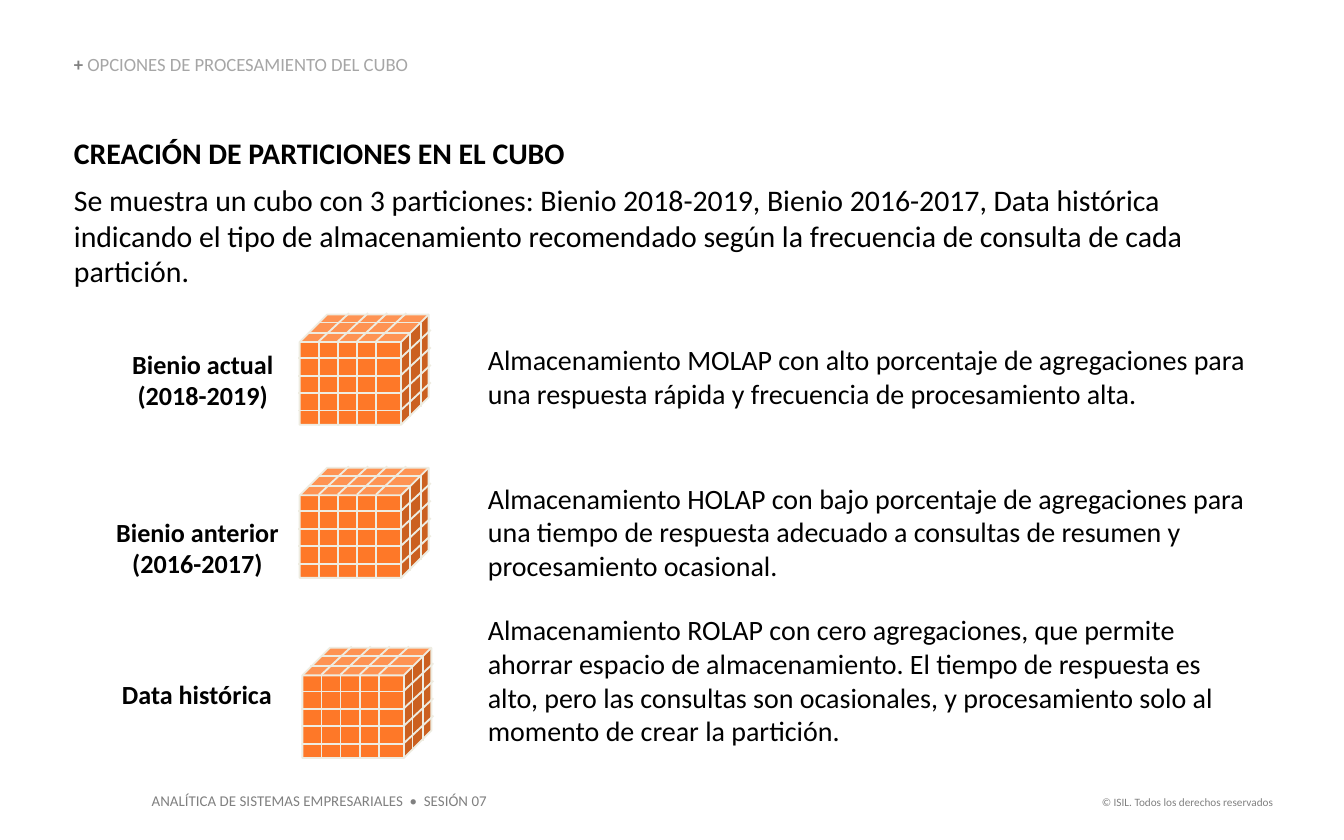
from dataclasses import dataclass

from pptx import Presentation
from pptx.dml.color import RGBColor
from pptx.enum.shapes import MSO_CONNECTOR as CONN, MSO_SHAPE as SHAPE
from pptx.enum.text import MSO_ANCHOR as ANCHOR, MSO_AUTO_SIZE as AUTO, PP_ALIGN as ALIGN
from pptx.oxml.ns import qn
from pptx.util import Inches, Pt

WIDTH, HEIGHT = Inches(10), Inches(6.25)
COLS, ROWS = 100, 62.5


@dataclass(frozen=True)
class Theme:
    """Colours, font and type sizes of the slide."""
    font: str = "Calibri"
    ink: str = "000000"
    gray: str = "808080"
    light: str = "A6A6A6"
    orange: str = "FE7828"
    grid: str = "EEECE1"
    intro: int = 16
    text: int = 15
    label: int = 14
    header: int = 10
    footer: int = 8
    rights: int = 6


T = Theme()

INTRO = ("CREACIÓN DE PARTICIONES EN EL CUBO",
         "Se muestra un cubo con 3 particiones: Bienio 2018-2019, Bienio 2016-2017, "
         "Data histórica indicando el tipo de almacenamiento recomendado según la "
         "frecuencia de consulta de cada partición.")

PARTITIONS = [
    ("Bienio actual\n(2018-2019)", (8.8, 25.4, 12.6, 5.7), (22.3, 23.4), (25.5, 5),
     "Almacenamiento MOLAP con alto porcentaje de agregaciones para una respuesta "
     "rápida y frecuencia de procesamiento alta."),
    ("Bienio anterior\n(2016-2017)", (7.6, 37.9, 14.2, 5.7), (22.3, 34.8), (35.8, 7.6),
     "Almacenamiento HOLAP con bajo porcentaje de agregaciones para una tiempo de "
     "respuesta adecuado a consultas de resumen y procesamiento ocasional."),
    ("Data histórica", (8, 50, 13.3, 3.4), (22.5, 48.2), (45.6, 10.1),
     "Almacenamiento ROLAP con cero agregaciones, que permite ahorrar espacio de "
     "almacenamiento. El tiempo de respuesta es alto, pero las consultas son "
     "ocasionales, y procesamiento solo al momento de crear la partición."),
]


def col(n):
    """Return the length of n grid columns."""
    return round(WIDTH * n / COLS)


def row(n):
    """Return the length of n grid rows."""
    return round(HEIGHT * n / ROWS)


def place(s, box):
    """Move a shape to a box given in columns and rows."""
    x, y, w, h = box
    s.left, s.top, s.width, s.height = col(x), row(y), col(w), row(h)


def style(r, size, color, bold=False):
    """Format one run."""
    r.font.name, r.font.size, r.font.bold = T.font, Pt(size), bold
    r.font.color.rgb = RGBColor.from_string(color)


def set_frame(tf, wrap, anchor=ANCHOR.TOP, inset=True):
    """Set wrapping, anchor and insets of a text frame."""
    tf.word_wrap, tf.vertical_anchor = wrap, anchor
    tf.auto_size = AUTO.SHAPE_TO_FIT_TEXT
    if not inset:
        tf.margin_left = tf.margin_top = tf.margin_right = tf.margin_bottom = 0


def add_text(slide, box, text, size, color=T.ink, bold=False, align=ALIGN.LEFT, wrap=False):
    """Add a text box; wrapped boxes have no insets."""
    s = slide.shapes.add_textbox(0, 0, 0, 0)
    tf = s.text_frame
    tf.text = text
    set_frame(tf, wrap, inset=not wrap)
    for p in tf.paragraphs:
        p.alignment = align
        style(p.runs[0], size, color, bold)
    place(s, box)


def fill_header(s):
    """Fill the title placeholder with the section header."""
    tf = s.text_frame
    set_frame(tf, True, ANCHOR.BOTTOM, inset=False)
    p = tf.paragraphs[0]
    p.alignment, p.line_spacing = ALIGN.LEFT, 0.9
    for text, color, bold in (("+ ", T.gray, True),
                              ("OPCIONES DE PROCESAMIENTO DEL CUBO", T.light, False)):
        r = p.add_run()
        r.text = text
        style(r, T.header, color, bold)
    place(s, (5.5, 4.1, 38, 1.5))


def fill_intro(s):
    """Fill the body placeholder with the heading and the introduction."""
    tf = s.text_frame
    tf.text = "\n".join(INTRO)
    set_frame(tf, True, inset=False)
    for p, bold, after in zip(tf.paragraphs, (True, False), (6, 0)):
        pPr = p._p.get_or_add_pPr()
        pPr.set("marL", "0")
        pPr.set("indent", "0")
        pPr.append(pPr.makeelement(qn("a:buNone"), {}))
        p.space_before, p.space_after = Pt(0), Pt(after)
        style(p.runs[0], T.intro, T.ink, bold)
    place(s, (5.5, 10, 89, 11.6))


def add_line(group, x1, y1, x2, y2):
    """Add one grid line to a cube."""
    s = group.shapes.add_connector(CONN.STRAIGHT, col(x1), row(y1), col(x2), row(y2))
    s.line.color.rgb, s.line.width = RGBColor.from_string(T.grid), Pt(1)
    spPr = s._element.spPr
    spPr.append(spPr.makeelement(qn("a:effectLst"), {}))


def add_cube(slide, x, y):
    """Add a cube with a grid on its three visible faces."""
    group = slide.shapes.add_group_shape()
    s = group.shapes.add_shape(SHAPE.CUBE, col(x), row(y), col(9.6), row(8.2))
    s.adjustments[0] = 0.25
    s.shadow.inherit = False
    s.fill.solid()
    s.fill.fore_color.rgb = RGBColor.from_string(T.orange)
    s.line.color.rgb, s.line.width = RGBColor.from_string(T.grid), Pt(1)
    front, depth = 7.5, 2.1
    for i in range(4):
        dx, dy = x + 1.42 * (i + 1), y + 3.25 + 1.3 * i
        add_line(group, dx, y + 2, dx, y + 8.3)
        add_line(group, dx, y + 2, dx + 2.25, y - 0.1)
        add_line(group, x - 0.1, dy, x + front, dy)
        add_line(group, x + front, dy, x + front + 2.25, dy - depth)
    for i in (1, 2):
        dx, dy = x + 0.8 * i - 0.2, y + 2.1 - 0.75 * i
        add_line(group, dx, dy, dx + 7.6, dy)
        add_line(group, dx + 7.6, dy, dx + 7.6, dy + 6.3)


def main():
    """Build the slide and save it."""
    prs = Presentation()
    prs.slide_width, prs.slide_height = WIDTH, HEIGHT
    slide = prs.slides.add_slide(prs.slide_layouts[1])
    fill_header(slide.shapes.title)
    fill_intro(slide.placeholders[1])
    for label, label_box, cube, (top, height), text in PARTITIONS:
        add_cube(slide, *cube)
        add_text(slide, label_box, label, T.label, bold=True, align=ALIGN.CENTER)
        add_text(slide, (36.3, top, 57.1, height), text, T.text, wrap=True)
    add_text(slide, (10.3, 58.4, 27, 2.4),
             "ANALÍTICA DE SISTEMAS EMPRESARIALES  •  SESIÓN 07", T.footer, T.gray)
    add_text(slide, (80.7, 58.7, 15, 2), "© ISIL. Todos los derechos reservados",
             T.rights, T.gray, align=ALIGN.RIGHT)
    prs.save("out.pptx")


if __name__ == "__main__":
    main()
